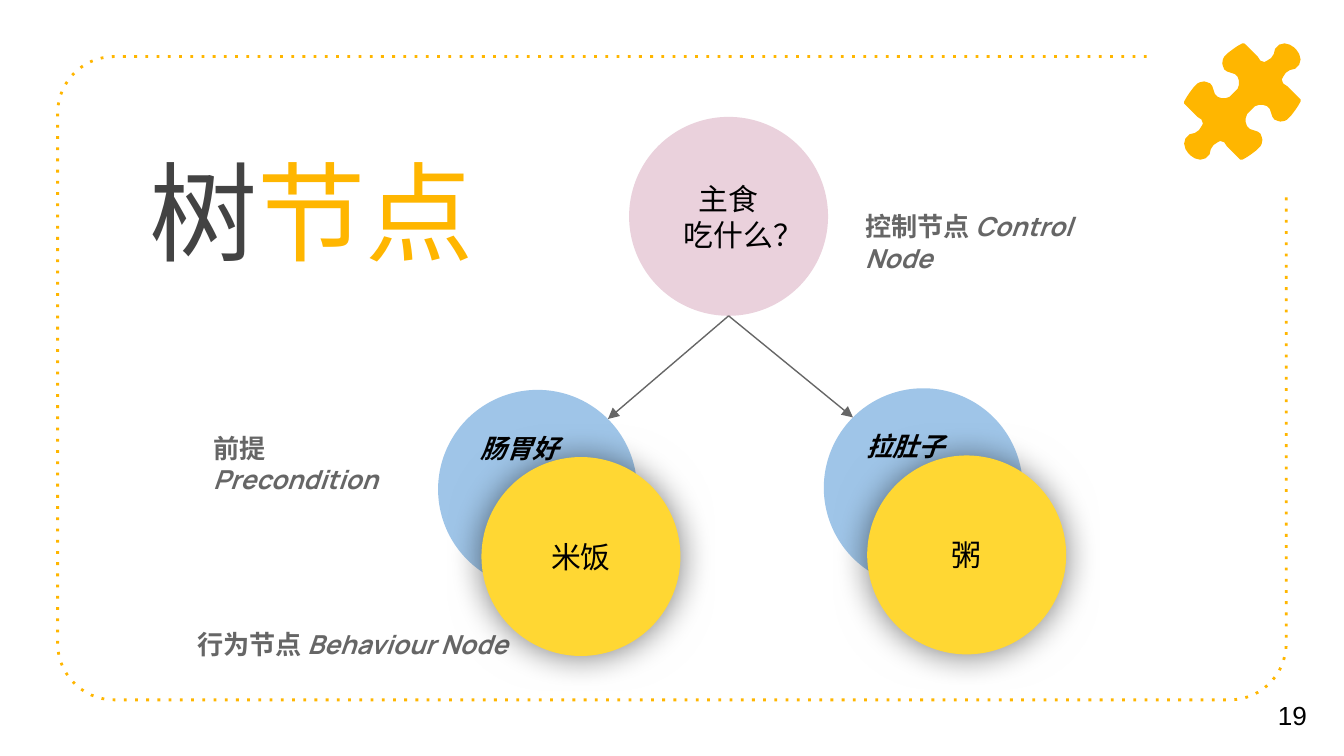
import math
from dataclasses import dataclass

import lxml.etree
import pptx
import pptx.dml.color
import pptx.enum.dml
import pptx.enum.shapes
import pptx.enum.text
import pptx.oxml.ns
import pptx.util

Cm = pptx.util.Cm
Align = pptx.enum.text.PP_ALIGN
Anchor = pptx.enum.text.MSO_ANCHOR
Point = tuple[float, float]


@dataclass(frozen=True)
class Theme:
    font: str = "Manrope"
    number_font: str = "Arial"
    amber: str = "FFB600"
    dark: str = "434343"
    grey: str = "666666"
    black: str = "000000"
    pink: str = "EAD1DC"
    blue: str = "9FC5E8"
    yellow: str = "FFD733"
    title_size: float = 58
    node_size: float = 16
    label_size: float = 14


@dataclass(frozen=True)
class Label:
    chinese: str
    english: str
    left: float
    top: float
    width: float


@dataclass(frozen=True)
class Branch:
    condition: str
    action: str
    left: float
    top: float
    arrow_side: int  # 1 meets the circle at upper right, -1 at upper left


THEME = Theme()
DIAMETER = 3.76
LABEL_HEIGHT = 1.52
ROOT = (11.89, 2.21)
ACTION_SHIFT = (0.82, 1.27)
LABELS = [
    Label("控制节点 ", "Control Node", 16.1, 3.73, 5.77),
    Label("行为节点 ", "Behaviour Node", 3.48, 11.63, 6.48),
    Label("前提 ", "Precondition", 3.78, 7.92, 4.45),
]
BRANCHES = [
    Branch("肠胃好", "米饭", 8.28, 7.37, 1),
    Branch("拉肚子", "粥", 15.57, 7.34, -1),
]

# Puzzle outline about its centre: half a notch and half a knob
PUZZLE_CENTRE = (23.48, 1.92)
PUZZLE_UNIT = 1.1 / 43.5
HALF_NOTCH = [
    (0, -43.5), (-3.5, -41.5), (-6.5, -39.5), (-10.5, -36.5), (-13.5, -33.5),
    (-14.5, -31.5), (-15, -28.5), (-14.5, -26.5), (-13.5, -24), (-11.5, -22.5),
    (-8.5, -21.5), (-5.5, -20.5), (-3.5, -18.5), (-2.5, -15.5), (-2.5, -12.5),
    (-3.5, -9.5), (-6.5, -6.5),
]
HALF_KNOB = [
    (-43.5, 1.5), (-41.5, 3.5), (-38.5, 6.5), (-33.5, 11.5), (-30.5, 13.5),
    (-29.5, 16.5), (-30.5, 18.5), (-32.5, 21.5), (-35.5, 23.5), (-39.5, 24.5),
    (-42.5, 27.5), (-43.5, 31.5), (-42.5, 35.5), (-40.5, 38.5),
]


def rgb(value: str):
    return pptx.dml.color.RGBColor.from_string(value)


def add_xml(parent, tag: str, **attributes: str):
    return lxml.etree.SubElement(parent, pptx.oxml.ns.qn(tag), attributes)


def add_span(para, text: str, color: str, **formats) -> None:
    span = para.add_run()
    span.text = text
    settings = {"name": THEME.font, "bold": False, "italic": False, **formats}
    settings["size"] = pptx.util.Pt(settings["size"])
    for name, value in settings.items():
        setattr(span.font, name, value)
    span.font.color.rgb = rgb(color)
    for tag in ("a:ea", "a:cs"):
        add_xml(span.font._element, tag, typeface=settings["name"])


def prepare_frame(box, anchor):
    frame = box.text_frame
    margin = Cm(0.25)
    settings = {
        "word_wrap": True, "auto_size": pptx.enum.text.MSO_AUTO_SIZE.NONE,
        "vertical_anchor": anchor, "margin_left": margin, "margin_right": margin,
        "margin_top": margin, "margin_bottom": margin,
    }
    for name, value in settings.items():
        setattr(frame, name, value)
    return frame


def place(box, left: float, top: float, width: float, height: float) -> None:
    bounds = {"left": left, "top": top, "width": width, "height": height}
    for name, value in bounds.items():
        setattr(box, name, Cm(value))


def fill_title(box) -> None:
    place(box, 2.57, 2.49, 19.08, 2.39)
    para = prepare_frame(box, Anchor.TOP).paragraphs[0]
    para.alignment = Align.LEFT
    add_span(para, "树", THEME.dark, size=THEME.title_size)
    add_span(para, "节点", THEME.amber, size=THEME.title_size)


def fill_label(box, label: Label) -> None:
    place(box, label.left, label.top, label.width, LABEL_HEIGHT)
    para = prepare_frame(box, Anchor.TOP).paragraphs[0]
    properties = para._p.get_or_add_pPr()
    properties.set("marL", "0")
    properties.set("indent", "0")
    add_xml(properties, "a:buNone")
    para.space_before = pptx.util.Pt(0)
    for text, italic in ((label.chinese, False), (label.english, True)):
        add_span(para, text, THEME.grey, size=THEME.label_size, bold=True, italic=italic)


def add_circle(page, left: float, top: float, color: str, lines: list[str],
               align=Align.CENTER, anchor=Anchor.MIDDLE, **formats):
    circle = page.shapes.add_shape(
        pptx.enum.shapes.MSO_SHAPE.OVAL, Cm(left), Cm(top), Cm(DIAMETER), Cm(DIAMETER))
    circle.shadow.inherit = False
    circle.fill.solid()
    circle.fill.fore_color.rgb = rgb(color)
    circle.line.fill.background()
    frame = prepare_frame(circle, anchor)
    for index, text in enumerate(lines):
        para = frame.add_paragraph() if index else frame.paragraphs[0]
        para.alignment = align
        add_span(para, text, THEME.black, **{"size": THEME.node_size, **formats})
    return circle


def add_soft_shadow(shape) -> None:
    effects = shape._element.spPr.find(pptx.oxml.ns.qn("a:effectLst"))
    shadow = add_xml(effects, "a:outerShdw", blurRad=str(pptx.util.Pt(18)),
                     dist=str(pptx.util.Pt(0.8)), dir="5400000", algn="bl", rotWithShape="0")
    color = add_xml(shadow, "a:srgbClr", val=THEME.black)
    add_xml(color, "a:alpha", val="50000")


def add_arrow(page, start: Point, end: Point) -> None:
    arrow = page.shapes.add_connector(
        pptx.enum.shapes.MSO_CONNECTOR.STRAIGHT, *map(Cm, start + end))
    arrow.line.color.rgb = rgb(THEME.grey)
    arrow.line.width = pptx.util.Pt(0.75)
    add_xml(arrow.line._get_or_add_ln(), "a:tailEnd", type="triangle", w="med", len="med")
    add_xml(arrow._element.spPr, "a:effectLst")


def add_outline(page, points: list[Point], close: bool):
    scaled = [(Cm(x), Cm(y)) for x, y in points]
    builder = page.shapes.build_freeform(*scaled[0])
    builder.add_line_segments(scaled[1:], close=close)
    outline = builder.convert_to_shape()
    outline.shadow.inherit = False
    return outline


def add_border(page) -> None:
    left, top, right, bottom, radius = 1.09, 1.07, 24.31, 13.23, 1.07
    corners = [(left + radius, top + radius, 270), (left + radius, bottom - radius, 180),
               (right - radius, bottom - radius, 90)]
    points = [(21.67, top)]
    for x, y, start in corners:
        angles = [math.radians(start - 6 * step) for step in range(16)]
        points += [(x + radius * math.cos(a), y + radius * math.sin(a)) for a in angles]
    border = add_outline(page, points + [(right, 3.71)], close=False)
    border.fill.background()
    border.line.color.rgb = rgb(THEME.amber)
    border.line.width = pptx.util.Pt(1.5)
    add_xml(border.line._get_or_add_ln(), "a:prstDash", val="dot")


def add_puzzle(page) -> None:
    notch = HALF_NOTCH + [(y, x) for x, y in reversed(HALF_NOTCH)]
    knob = HALF_KNOB + [(-y, -x) for x, y in reversed(HALF_KNOB)]
    half = notch + knob
    full = half + [(-x, -y) for x, y in half]
    centre_x, centre_y = PUZZLE_CENTRE
    piece = add_outline(page, [(centre_x + x * PUZZLE_UNIT, centre_y + y * PUZZLE_UNIT)
                               for x, y in full], close=True)
    piece.fill.solid()
    piece.fill.fore_color.rgb = rgb(THEME.amber)
    piece.line.fill.background()


def add_branch(page, branch: Branch) -> None:
    add_circle(page, branch.left, branch.top, THEME.blue, [branch.condition], Align.LEFT,
               Anchor.TOP, size=THEME.label_size, bold=True, italic=True)
    action = add_circle(page, branch.left + ACTION_SHIFT[0], branch.top + ACTION_SHIFT[1],
                        THEME.yellow, [branch.action])
    add_soft_shadow(action)
    radius = DIAMETER / 2
    reach = radius * math.sqrt(0.5)
    add_arrow(page, (ROOT[0] + radius, ROOT[1] + DIAMETER),
              (branch.left + radius + branch.arrow_side * reach, branch.top + radius - reach))


def main() -> None:
    deck = pptx.Presentation()
    deck.slide_width, deck.slide_height = Cm(25.4), Cm(14.29)
    page = deck.slides.add_slide(deck.slide_layouts.get_by_name("Comparison"))

    # Title and labels
    title, *bodies = list(page.placeholders)
    fill_title(title)
    for box, label in zip(bodies, LABELS):
        fill_label(box, label)
    for spare in bodies[len(LABELS):]:
        spare._element.getparent().remove(spare._element)

    # Decoration
    add_border(page)
    add_puzzle(page)

    # Tree
    add_circle(page, *ROOT, THEME.pink, ["主食", "吃什么？"])
    for branch in BRANCHES:
        add_branch(page, branch)

    # Page number
    number = page.shapes.add_textbox(Cm(23.9), Cm(12.75), Cm(1.5), Cm(1.52))
    para = prepare_frame(number, Anchor.MIDDLE).paragraphs[0]
    add_span(para, "19", THEME.black, size=THEME.label_size, name=THEME.number_font)

    deck.save("out.pptx")


if __name__ == "__main__":
    main()
